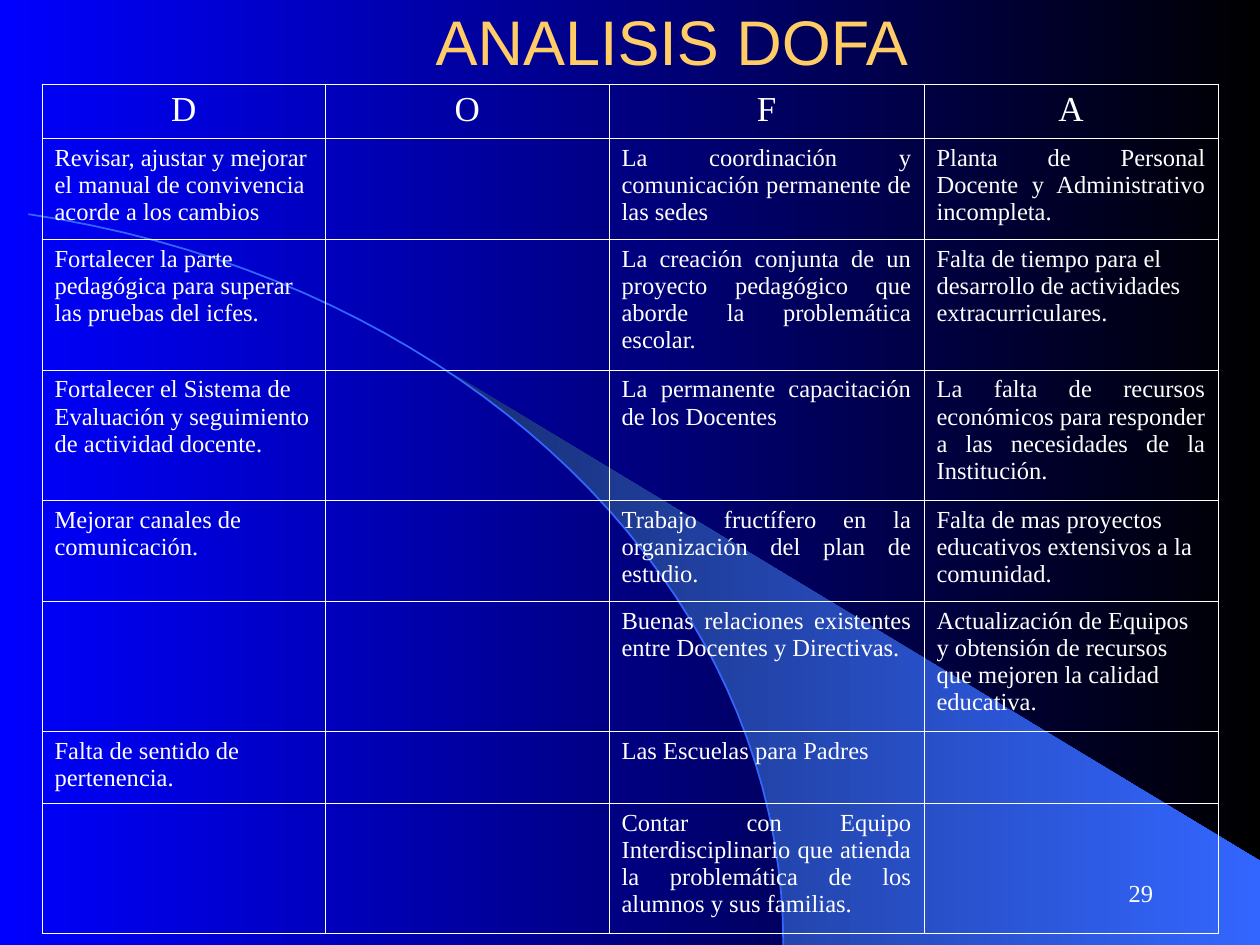
from dataclasses import dataclass

from lxml import etree
from pptx import Presentation
from pptx.dml.color import RGBColor
from pptx.enum.text import MSO_ANCHOR, PP_ALIGN
from pptx.oxml.ns import qn
from pptx.util import Emu, Inches, Pt

LEFT, CENTER, RIGHT, JUSTIFY = PP_ALIGN.LEFT, PP_ALIGN.CENTER, PP_ALIGN.RIGHT, PP_ALIGN.JUSTIFY
TOP, MIDDLE, BOTTOM = MSO_ANCHOR.TOP, MSO_ANCHOR.MIDDLE, MSO_ANCHOR.BOTTOM

WIDTH, HEIGHT = Inches(10), Inches(7.5)
GRID_COLUMNS = 120
UNIT = WIDTH // GRID_COLUMNS


@dataclass(frozen=True)
class Theme:
    background: tuple = ("0000FF", "000000")
    wedge: tuple = ("182F76", "3366FF")
    arc: str = "3366FF"
    title: str = "FFCC66"
    text: str = "FFFFFF"
    title_font: str = "Arial"
    body_font: str = "Times New Roman"
    title_size: int = 36
    header_size: int = 20
    body_size: int = 14
    arc_width: float = 1
    border_width: float = 0.45


THEME = Theme()

ARC_CONTROLS = ((2.7, 20.4), (44.4, 26.6), (74.6, 55.9), (74.6, 90))
WEDGE_CORNERS = ((120, 90), (120, 82), (43, 35.5))

COLUMN_WIDTHS = (27, 27, 30, 28)
ROW_HEIGHTS = (5.2, 9.6, 12.4, 12.4, 9.6, 12.4, 6.8, 12.4)
HEADERS = ("D", "O", "F", "A")
WEAKNESSES = (
    "Revisar, ajustar y mejorar el manual de convivencia acorde a los cambios",
    "Fortalecer la parte pedagógica para superar las pruebas del icfes.",
    "Fortalecer el Sistema de Evaluación y seguimiento de actividad docente.",
    "Mejorar canales de comunicación.",
    "",
    "Falta de sentido de pertenencia.",
    "",
)
STRENGTHS = (
    "La coordinación y comunicación permanente de las sedes",
    "La creación conjunta de un proyecto pedagógico que aborde la problemática escolar.",
    "La permanente capacitación de los Docentes",
    "Trabajo fructífero en la organización del plan de estudio.",
    "Buenas relaciones existentes entre Docentes y Directivas.",
    "Las Escuelas para Padres",
    "Contar con Equipo Interdisciplinario que atienda la problemática de los alumnos y sus familias.",
)
THREATS = (
    "Planta de Personal Docente y Administrativo incompleta.",
    "Falta de tiempo para el desarrollo de actividades extracurriculares.",
    "La falta de recursos económicos para responder a las necesidades de la Institución.",
    "Falta de mas proyectos educativos extensivos a la comunidad.",
    "Actualización de Equipos y obtensión de recursos que mejoren la calidad educativa.",
    "",
    "",
)
OPPORTUNITIES = ("",) * len(WEAKNESSES)
JUSTIFIED_THREAT_ROWS = (1, 3)


def grid(count):
    return Emu(round(count * UNIT))


def set_gradient(fill, colors):
    fill.gradient()
    fill.gradient_angle = 0
    for stop, color in zip(fill.gradient_stops, colors):
        stop.color.rgb = RGBColor.from_string(color)


def arc_points(start, steps=40):
    points = []
    for step in range(steps + 1):
        t = start + (1 - start) * step / steps
        weights = ((1 - t) ** 3, 3 * t * (1 - t) ** 2, 3 * t**2 * (1 - t), t**3)
        points.append(tuple(
            sum(weight * control[axis] for weight, control in zip(weights, ARC_CONTROLS))
            for axis in (0, 1)
        ))
    return points


def add_outline(page, points, close):
    first, *rest = [(grid(x), grid(y)) for x, y in points]
    builder = page.shapes.build_freeform(*first)
    builder.add_line_segments(rest, close=close)
    shape = builder.convert_to_shape()
    shape.shadow.inherit = False
    return shape


def add_wedge(page):
    wedge = add_outline(page, [*WEDGE_CORNERS, *arc_points(0.4)], close=True)
    set_gradient(wedge.fill, THEME.wedge)
    wedge.line.fill.background()


def add_arc(page):
    arc = add_outline(page, arc_points(0), close=False)
    arc.fill.background()
    arc.line.color.rgb = RGBColor.from_string(THEME.arc)
    arc.line.width = Pt(THEME.arc_width)


def write(frame, text, size, align, font=THEME.body_font, color=THEME.text):
    para = frame.paragraphs[0]
    para.alignment = align
    span = para.add_run()
    span.text = text
    span.font.size = Pt(size)
    span.font.name = font
    span.font.color.rgb = RGBColor.from_string(color)


def add_text(page, area, anchor, text, size, align, **style):
    box = page.shapes.add_textbox(*map(grid, area))
    box.text_frame.word_wrap = True
    box.text_frame.vertical_anchor = anchor
    write(box.text_frame, text, size, align, **style)


def set_borders(cell):
    properties = cell._tc.get_or_add_tcPr()
    for side in ("a:lnL", "a:lnR", "a:lnT", "a:lnB"):
        line = etree.SubElement(properties, qn(side), w=str(Pt(THEME.border_width)))
        solid = etree.SubElement(line, qn("a:solidFill"))
        etree.SubElement(solid, qn("a:srgbClr"), val=THEME.text)


def cell_alignment(row, column):
    if row == 0:
        return CENTER
    if column == 2 or (column == 3 and row in JUSTIFIED_THREAT_ROWS):
        return JUSTIFY
    return LEFT


def add_matrix(page):
    rows = [HEADERS, *zip(WEAKNESSES, OPPORTUNITIES, STRENGTHS, THREATS)]
    area = (4, 8, sum(COLUMN_WIDTHS), sum(ROW_HEIGHTS))
    table = page.shapes.add_table(len(rows), len(HEADERS), *map(grid, area)).table
    table.first_row = False
    table.horz_banding = False
    for column, width in zip(table.columns, COLUMN_WIDTHS):
        column.width = grid(width)
    for row, height in zip(table.rows, ROW_HEIGHTS):
        row.height = grid(height)
    for row, texts in enumerate(rows):
        size = THEME.body_size if row else THEME.header_size
        for column, text in enumerate(texts):
            cell = table.cell(row, column)
            set_borders(cell)
            cell.fill.background()
            cell.vertical_anchor = TOP
            if text:
                write(cell.text_frame, text, size, cell_alignment(row, column))


def main():
    deck = Presentation()
    deck.slide_width, deck.slide_height = WIDTH, HEIGHT
    page = deck.slides.add_slide(deck.slide_layouts[6])
    set_gradient(page.background.fill, THEME.background)
    add_wedge(page)
    add_arc(page)
    add_text(page, (86, 82, 25, 6), MIDDLE, "29", THEME.body_size, RIGHT)
    add_text(page, (13, -0.4, 102, 8.4), BOTTOM, "ANALISIS DOFA", THEME.title_size, CENTER,
             font=THEME.title_font, color=THEME.title)
    add_matrix(page)
    deck.save("out.pptx")


if __name__ == "__main__":
    main()
